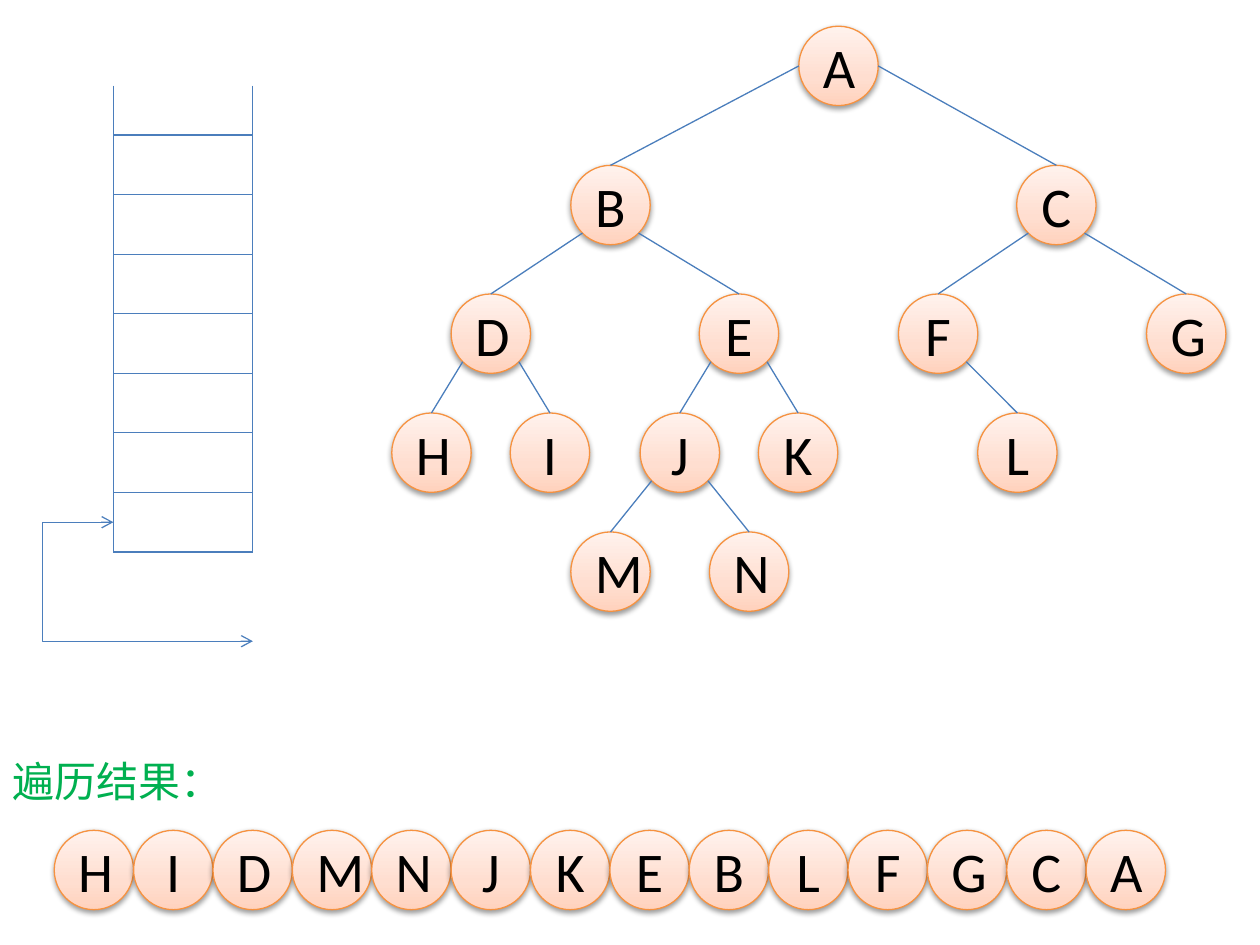
import copy
import math

import lxml.etree
import pptx
import pptx.dml.color
import pptx.enum.shapes
import pptx.enum.text
import pptx.oxml.ns
import pptx.util

Pt = pptx.util.Pt
qn = pptx.oxml.ns.qn
SHAPE = pptx.enum.shapes.MSO_SHAPE
CONNECTOR = pptx.enum.shapes.MSO_CONNECTOR

COLORS = {
    "node_dark": "FFD2BD",
    "node_mid": "FFDED0",
    "node_light": "FFF2ED",
    "node_line": "F69240",
    "line": "4B7EBC",
    "text": "000000",
    "label": "00B050",
    "shadow": "000000",
}
SIZE = 45.36  # node diameter


def rgb(name):
    return pptx.dml.color.RGBColor.from_string(COLORS[name])


class Canvas:
    """Holds the style and the current slide."""

    node_stops = ((0, "node_dark"), (0.35, "node_mid"), (1, "node_light"))
    line_width = 0.75

    def __init__(self, slide):
        self.slide = slide

    def set_font(self, p, name, size, color):
        p.font.name = name
        p.font.size = Pt(size)
        p.font.color.rgb = rgb(color)

    def node(self, letter, x, y):
        sp = self.slide.shapes.add_shape(SHAPE.OVAL, Pt(x), Pt(y), Pt(SIZE), Pt(SIZE))
        sp.line.color.rgb = rgb("node_line")
        sp.line.width = Pt(self.line_width)

        # Three-stop gradient, dark at the bottom
        sp.fill.gradient()
        sp.fill.gradient_angle = 90
        stops = sp._element.spPr.find(qn("a:gradFill")).find(qn("a:gsLst"))
        stops.append(copy.deepcopy(stops[0]))
        for stop, (position, color) in zip(sp.fill.gradient_stops, self.node_stops):
            stop.position = position
            stop.color.rgb = rgb(color)

        # Soft shadow below
        sp.shadow.inherit = False
        effects = sp._element.spPr.find(qn("a:effectLst"))
        shadow = lxml.etree.SubElement(
            effects, qn("a:outerShdw"), blurRad=str(Pt(3.15)), dist=str(Pt(1.57)),
            dir="5400000", rotWithShape="0")
        color = lxml.etree.SubElement(shadow, qn("a:srgbClr"), val=COLORS["shadow"])
        lxml.etree.SubElement(color, qn("a:alpha"), val="38000")

        p = sp.text_frame.paragraphs[0]
        p.text = letter
        p.alignment = pptx.enum.text.PP_ALIGN.CENTER
        self.set_font(p, "Calibri", 32, "text")

    def line(self, x1, y1, x2, y2, kind=CONNECTOR.STRAIGHT):
        cx = self.slide.shapes.add_connector(kind, Pt(x1), Pt(y1), Pt(x2), Pt(y2))
        cx.line.color.rgb = rgb("line")
        cx.line.width = Pt(self.line_width)
        lxml.etree.SubElement(cx._element.spPr, qn("a:effectLst"))
        return cx

    def bent_arrow(self, x1, y1, x2, y2, bend):
        """Elbow with two arrowheads; bend is a share of its width."""
        cx = self.line(x1, y1, x2, y2, CONNECTOR.ELBOW)
        guides = cx._element.spPr.find(qn("a:prstGeom")).find(qn("a:avLst"))
        lxml.etree.SubElement(guides, qn("a:gd"), name="adj1",
                              fmla=f"val {round(bend * 100000)}")
        ln = cx._element.spPr.find(qn("a:ln"))
        for end in ("a:headEnd", "a:tailEnd"):
            lxml.etree.SubElement(ln, qn(end), type="arrow")

    def label(self, text, x, y, w, h):
        sp = self.slide.shapes.add_textbox(Pt(x), Pt(y), Pt(w), Pt(h))
        tf = sp.text_frame
        tf.word_wrap = True
        p = tf.paragraphs[0]
        p.text = text
        self.set_font(p, "Arial", 24, "label")


def draw_tree(canvas):
    level_tops = (15, 94.5, 168, 236, 304)
    levels = (
        {"A": 456.5},
        {"B": 326.2, "C": 581},
        {"D": 257.8, "E": 399.6, "F": 513.4, "G": 655.2},
        {"H": 223.9, "I": 291.6, "J": 365.8, "K": 433.4, "L": 558.7},
        {"M": 326.2, "N": 405.4},
    )
    edges = "AB AC BD BE CF CG DH DI EJ EK FL JM JN".split()

    nodes = {letter: (x, y) for y, level in zip(level_tops, levels)
             for letter, x in level.items()}
    for letter, (x, y) in nodes.items():
        canvas.node(letter, x, y)

    # Edges leave the root at its sides, other nodes at 45 degrees below
    radius = SIZE / 2
    for parent, child in edges:
        (px, py), (cx, cy) = nodes[parent], nodes[child]
        angle = 0 if parent == "A" else math.pi / 4
        side = 1 if cx > px else -1
        canvas.line(px + radius + side * radius * math.cos(angle),
                    py + radius + radius * math.sin(angle),
                    cx + radius, cy)


def draw_stack(canvas):
    left, right, top, first, pitch, count = 64.8, 144.5, 49, 77.2, 34.03, 8
    bottom = first + (count - 1) * pitch
    for x in (left, right):
        canvas.line(x, top, x, bottom)
    for i in range(count):
        y = first + i * pitch
        canvas.line(left, y, right, y)

    # Pointer from the bottom cell to the output position
    canvas.bent_arrow(left, bottom - pitch / 2, right, 366.4, -0.51)


def main():
    prs = pptx.Presentation()
    prs.slide_width, prs.slide_height = Pt(720), Pt(540)
    canvas = Canvas(prs.slides.add_slide(prs.slide_layouts[6]))

    draw_tree(canvas)
    draw_stack(canvas)

    # Post-order traversal result
    canvas.label("遍历结果：", 0, 428.4, 127.44, 36.72)
    for i, letter in enumerate("HIDMNJKEBLFGCA"):
        canvas.node(letter, 31 + i * SIZE, 474.5)

    prs.save("out.pptx")


if __name__ == "__main__":
    main()
